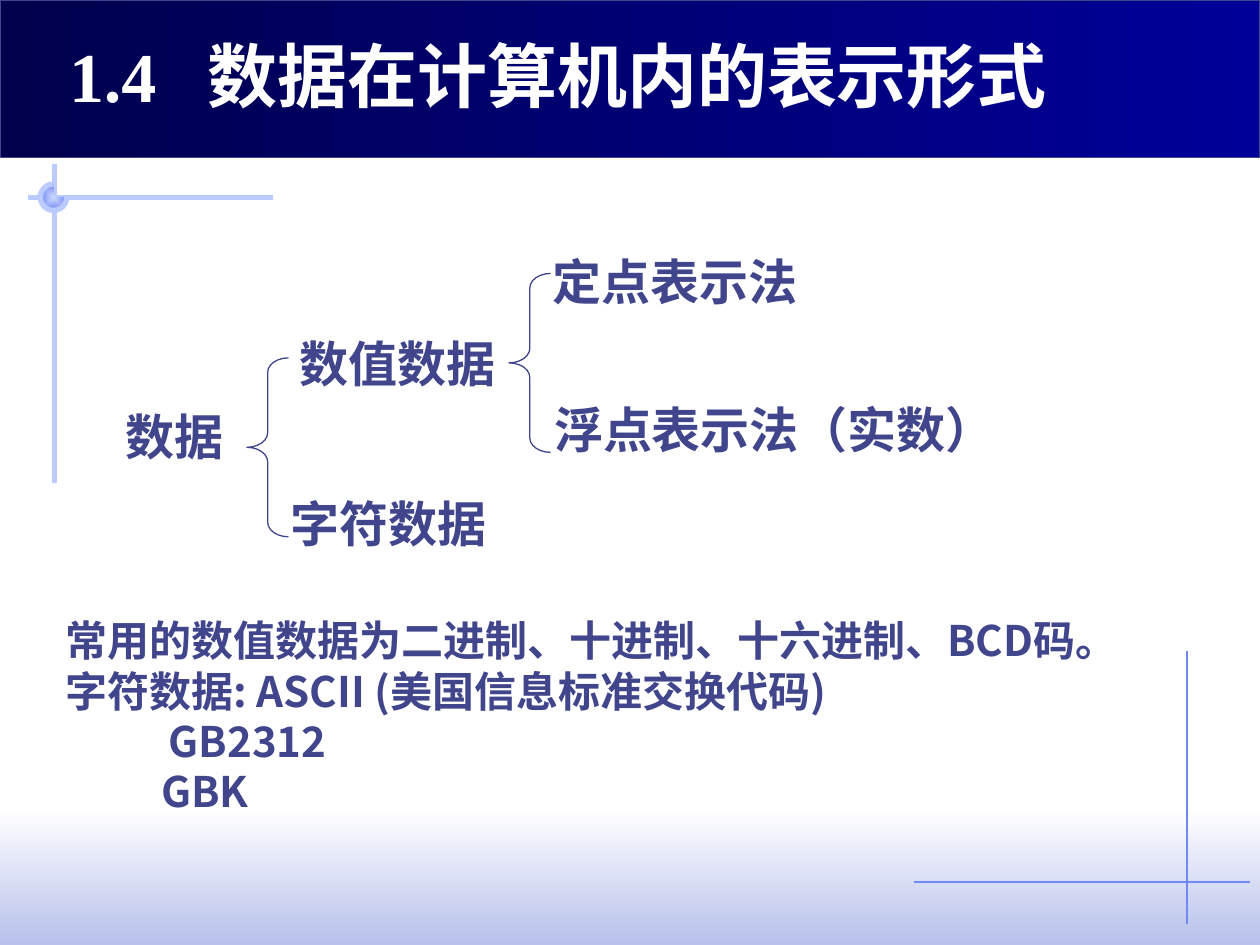
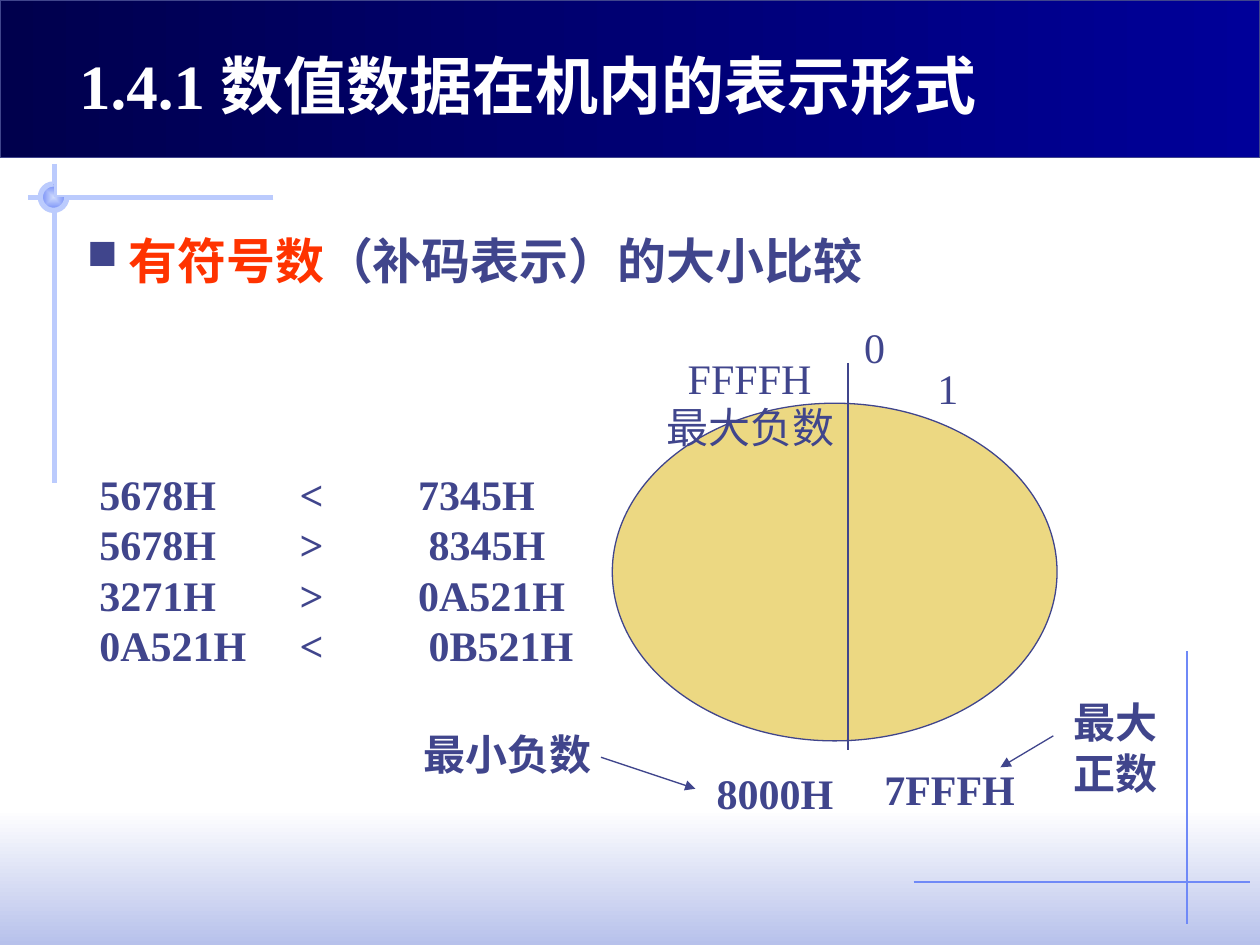
from dataclasses import dataclass
from typing import Optional

import pptx
import pptx.dml.color
import pptx.enum.shapes
import pptx.enum.text
import pptx.oxml
import pptx.oxml.ns
import pptx.util
from pptx.util import Inches

SHAPE = pptx.enum.shapes.MSO_SHAPE
DRAWING_NS = pptx.oxml.ns.nsdecls("a")


@dataclass(frozen=True)
class Theme:
    ink: str = "40458C"
    white: str = "FFFFFF"
    accent: str = "FF3300"
    band_start: str = "00004D"
    band_end: str = "000099"
    footer_end: str = "B7C1EB"
    rule: str = "BBCBFD"
    fine_rule: str = "6F89F7"
    node_center: str = "CFDBFD"
    ring: str = "ECD882"
    serif: str = "Times New Roman"
    sans: str = "Noto Sans CJK SC"
    title: int = 40
    subtitle: int = 36
    heading: int = 28
    body: int = 24
    thin: float = 0.75
    thick: float = 3


THEME = Theme()


@dataclass(frozen=True)
class Style:
    size: int = THEME.body
    bold: bool = True
    color: str = THEME.ink
    font: str = THEME.serif


@dataclass(frozen=True)
class Label:
    text: str
    left: float
    top: float
    width: float
    height: float
    style: Style = Style()
    wrap: bool = False
    tabs: tuple[float, ...] = ()


@dataclass(frozen=True)
class Rule:
    start: tuple[float, float]
    end: tuple[float, float]
    color: str = THEME.ink
    weight: float = THEME.thin
    arrow: bool = False


TITLE = Style(THEME.title, color=THEME.white)
SUBTITLE = Style(THEME.subtitle, color=THEME.white)
HEADING = Style(THEME.heading)
PLAIN = Style(bold=False)
SANS = Style(font=THEME.sans)

FRAME_RULES = (
    Rule((9.42, 5.17), (9.42, 7.33), THEME.fine_rule),
    Rule((7.25, 7), (9.92, 7), THEME.fine_rule),
    Rule((2.17, 1.57), (0.22, 1.57), THEME.rule, THEME.thick),
    Rule((0.43, 1.3), (0.43, 3.83), THEME.rule, THEME.thick),
)

TREE_LABELS = (
    Label("1.4\t数据在计算机内的表示形式", 0.45, 0.21, 8.3, 0.77, TITLE, True, (1.1,)),
    Label("数据", 0.9, 3.18, 1.1, 0.57, HEADING, True),
    Label("数值数据", 2.28, 2.6, 1.9, 0.57, HEADING, True),
    Label("字符数据", 2.21, 3.87, 1.9, 0.57, HEADING, True),
    Label("定点表示法", 4.29, 1.95, 2.3, 0.57, HEADING, True),
    Label("浮点表示法（实数）", 4.3, 3.12, 3.9, 0.57, HEADING, True),
)
TREE_BRACES = ((1.96, 2.84), (4.04, 2.17))

CODES = Label(
    "常用的数值数据为二进制、十进制、十六进制、BCD码。\n"
    "字符数据: ASCII (美国信息标准交换代码)\nGB2312\nGBK",
    0.42, 4.83, 8.8, 1.7, SANS, True,
)
CODE_INDENTS = (0, 0, 0.82, 0.76)

SIGNED_HEADING = Label("有符号数", 0.59, 1.78, 7.32, 0.57,
                       Style(THEME.heading, color=THEME.accent), True)
COMPARISONS = Label(
    "5678H\t<\t7345H\n5678H\t>\t 8345H\n3271H\t>\t0A521H\n0A521H\t<\t 0B521H",
    0.69, 3.67, 4.2, 1.7, wrap=True, tabs=(1.59, 2.53),
)
RING_LABELS = (
    Label("1.4.1 数值数据在机内的表示形式", 0.53, 0.32, 7.9, 0.7, SUBTITLE, True),
    Label("0", 6.76, 2.5, 0.45, 0.5, PLAIN, True),
    Label("1", 7.34, 2.83, 0.45, 0.5, PLAIN, True),
    Label("7FFFH", 6.92, 6.01, 1.4, 0.5, wrap=True),
    Label("8000H", 5.59, 6.04, 1.3, 0.5, wrap=True),
    Label("FFFFH", 5.36, 2.75, 1.35, 0.5, PLAIN, True),
    Label("最大正数", 8.42, 5.48, 0.93, 0.9, wrap=True),
    Label("最小负数", 3.26, 5.73, 1.7, 0.5, wrap=True),
    Label("最大负数", 5.19, 3.14, 1.7, 0.5, PLAIN, True),
)
RING_RULES = (
    Rule((6.73, 2.88), (6.73, 5.95)),
    Rule((8.36, 5.84), (7.94, 6.09), arrow=True),
    Rule((4.77, 6.01), (5.52, 6.26), arrow=True),
)


def rgb(color: str) -> pptx.dml.color.RGBColor:
    return pptx.dml.color.RGBColor.from_string(color)


def element(markup: str):
    """Make a drawing element from its tag, attributes and content."""
    tag, _, rest = markup.partition(">")
    name = tag.split()[0]
    return pptx.oxml.parse_xml(f"<a:{tag} {DRAWING_NS}>{rest}</a:{name}>")


def style_span(span, style: Style) -> None:
    span.font.size = pptx.util.Pt(style.size)
    span.font.bold = style.bold
    span.font.color.rgb = rgb(style.color)
    span.font.name = style.font
    span.font._element.append(element(f'ea typeface="{THEME.sans}">'))


def add_label(page, label: Label):
    box = page.shapes.add_textbox(Inches(label.left), Inches(label.top),
                                  Inches(label.width), Inches(label.height))
    frame = box.text_frame
    frame.word_wrap = label.wrap
    frame.auto_size = pptx.enum.text.MSO_AUTO_SIZE.SHAPE_TO_FIT_TEXT
    frame.text = label.text
    stops = "".join(f'<a:tab pos="{Inches(stop)}" algn="l"/>' for stop in label.tabs)
    for para in frame.paragraphs:
        if stops:
            para._p.get_or_add_pPr().append(element(f"tabLst>{stops}"))
        for span in para.runs:
            style_span(span, label.style)
    return box


def indent(para, left: float, first: float = 0) -> None:
    properties = para._p.get_or_add_pPr()
    properties.set("marL", str(Inches(left)))
    properties.set("indent", str(Inches(first)))


def add_rule(page, rule: Rule) -> None:
    line = page.shapes.add_connector(
        pptx.enum.shapes.MSO_CONNECTOR.STRAIGHT,
        *(Inches(length) for length in rule.start + rule.end))
    line.line.color.rgb = rgb(rule.color)
    line.line.width = pptx.util.Pt(rule.weight)
    if rule.arrow:
        line.line._get_or_add_ln().append(element('tailEnd type="triangle">'))
    line._element.spPr.append(element("effectLst>"))


def add_outline(page, kind, left: float, top: float, width: float, height: float,
                line: Optional[str] = THEME.ink, weight: float = THEME.thin):
    """Add an unfilled preset shape without a shadow."""
    shape = page.shapes.add_shape(kind, Inches(left), Inches(top),
                                  Inches(width), Inches(height))
    shape.shadow.inherit = False
    shape.fill.background()
    if line:
        shape.line.color.rgb = rgb(line)
        shape.line.width = pptx.util.Pt(weight)
    else:
        shape.line.fill.background()
    return shape


def fill_gradient(shape, start: str, end: str, angle: float = 0) -> None:
    shape.fill.gradient()
    shape.fill.gradient_angle = angle
    for stop, color in zip(shape.fill.gradient_stops, (start, end)):
        stop.color.rgb = rgb(color)


def add_page(deck):
    """Add a blank slide with the title band, the footer and the corner rules."""
    page = deck.slides.add_slide(deck.slide_layouts[6])
    footer = add_outline(page, SHAPE.RECTANGLE, 0, 6.42, 10, 1.08, line=None)
    fill_gradient(footer, THEME.white, THEME.footer_end, 270)
    for rule in FRAME_RULES:
        add_rule(page, rule)

    node = add_outline(page, SHAPE.ARC, 0.32, 1.46, 0.21, 0.21, THEME.rule, THEME.thick)
    node.adjustments[0] = 0
    node.adjustments[1] = 162  # 270 degrees
    fill_gradient(node, THEME.node_center, THEME.fine_rule)
    gradient = node._element.spPr.find(pptx.oxml.ns.qn("a:gradFill"))
    gradient.remove(gradient.find(pptx.oxml.ns.qn("a:lin")))
    gradient.append(element(
        'path path="rect"><a:fillToRect l="50000" t="50000" r="50000" b="50000"/>'))

    band = add_outline(page, SHAPE.RECTANGLE, 0, 0, 10, 1.25)
    fill_gradient(band, THEME.band_start, THEME.band_end)
    return page


def build_data_tree(deck) -> None:
    page = add_page(deck)
    for label in TREE_LABELS:
        add_label(page, label)
    for left, top in TREE_BRACES:
        brace = add_outline(page, SHAPE.LEFT_BRACE, left, top, 0.33, 1.42)
        brace.adjustments[0] = 0.35
    codes = add_label(page, CODES)
    for para, left in zip(codes.text_frame.paragraphs, CODE_INDENTS):
        indent(para, left)


def build_signed_comparison(deck) -> None:
    page = add_page(deck)
    heading = add_label(page, SIGNED_HEADING).text_frame.paragraphs[0]
    indent(heading, 0.33, -0.33)
    properties = heading._p.get_or_add_pPr()
    properties.append(element(f'buClr><a:srgbClr val="{THEME.ink}"/>'))
    properties.append(element('buSzPct val="85000">'))
    properties.append(element('buChar char="■">'))
    topic = heading.add_run()
    topic.text = "（补码表示）的大小比较"
    style_span(topic, HEADING)

    add_label(page, COMPARISONS)
    ring = add_outline(page, SHAPE.OVAL, 4.86, 3.2, 3.53, 2.68)
    ring.fill.solid()
    ring.fill.fore_color.rgb = rgb(THEME.ring)
    for rule in RING_RULES:
        add_rule(page, rule)
    for label in RING_LABELS:
        add_label(page, label)


def main() -> None:
    deck = pptx.Presentation()
    deck.slide_width = Inches(10)
    deck.slide_height = Inches(7.5)
    build_data_tree(deck)
    build_signed_comparison(deck)
    deck.save("out.pptx")


if __name__ == "__main__":
    main()
